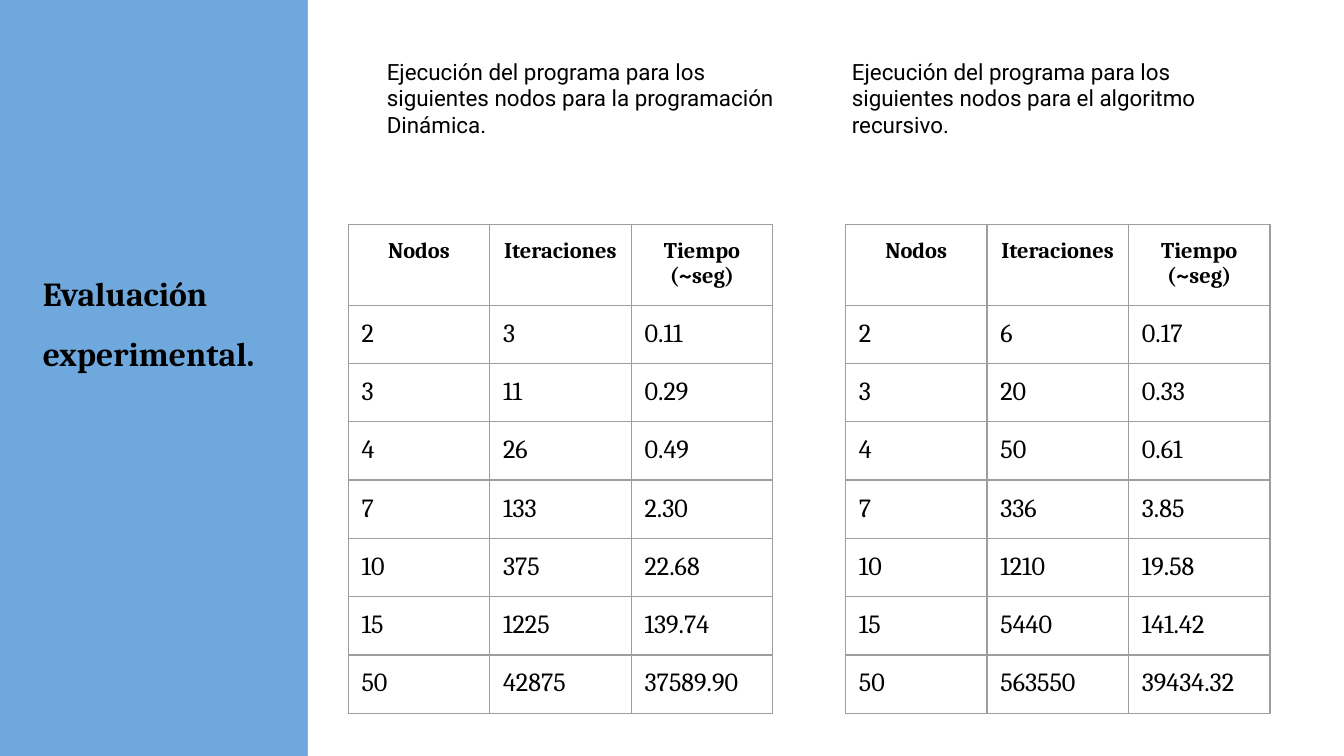
from dataclasses import dataclass

from lxml.etree import SubElement
from pptx import Presentation
from pptx.dml.color import RGBColor
from pptx.enum.shapes import MSO_SHAPE
from pptx.enum.text import MSO_ANCHOR, PP_ALIGN as Align
from pptx.oxml.ns import qn
from pptx.slide import Slide
from pptx.table import _Cell as Cell
from pptx.text.text import TextFrame
from pptx.util import Inches, Pt


@dataclass(frozen=True)
class Theme:
    side: str = "6FA8DC"
    panel: str = "FFFFFF"
    ink: str = "000000"
    grid: str = "9E9E9E"
    grid_points: float = 0.75
    serif: str = "Cambria"
    sans: str = "Roboto"
    title_size: int = 18
    small_size: int = 12
    value_size: int = 14
    inset: float = 0.1


@dataclass(frozen=True)
class Experiment:
    caption: str
    caption_left: float
    table_left: float
    results: list[tuple[str, str, str]]


THEME = Theme()
PAGE_WIDTH = 10
PAGE_HEIGHT = PAGE_WIDTH * 9 / 16
PANEL_LEFT = 2.29
HEADERS = ("Nodos", "Iteraciones", "Tiempo (~seg)")
TABLE_TOP, TABLE_WIDTH, TABLE_HEIGHT = 1.67, 3.16, 3.28
HEADER_HEIGHT, ROW_HEIGHT = 0.59, 0.4

EXPERIMENTS = [
    Experiment(
        "Ejecución del programa para los siguientes nodos para la programación Dinámica.",
        2.78, 2.59,
        [("2", "3", "0.11"), ("3", "11", "0.29"), ("4", "26", "0.49"),
         ("7", "133", "2.30"), ("10", "375", "22.68"),
         ("15", "1225", "139.74"), ("50", "42875", "37589.90")],
    ),
    Experiment(
        "Ejecución del programa para los siguientes nodos para el algoritmo recursivo.",
        6.24, 6.29,
        [("2", "6", "0.17"), ("3", "20", "0.33"), ("4", "50", "0.61"),
         ("7", "336", "3.85"), ("10", "1210", "19.58"),
         ("15", "5440", "141.42"), ("50", "563550", "39434.32")],
    ),
]


def write(frame: TextFrame, text: str, *, size: int, font: str,
          bold: bool = False, align: Align = Align.LEFT,
          line_spacing: float | None = None, space_after: int = 0) -> None:
    para = frame.paragraphs[0]
    para.alignment = align
    para.line_spacing = line_spacing
    para.space_after = Pt(space_after)
    span = para.add_run()
    span.text = text
    span.font.size = Pt(size)
    span.font.name = font
    span.font.bold = bold
    span.font.color.rgb = RGBColor.from_string(THEME.ink)


def set_insets(target: TextFrame | Cell) -> None:
    target.margin_left = target.margin_right = Inches(THEME.inset)
    target.margin_top = target.margin_bottom = Inches(THEME.inset)


def add_text(page: Slide, text: str, left: float, top: float,
             width: float, height: float, **style) -> None:
    box = page.shapes.add_textbox(
        Inches(left), Inches(top), Inches(width), Inches(height))
    frame = box.text_frame
    frame.word_wrap = True
    frame.vertical_anchor = MSO_ANCHOR.TOP
    set_insets(frame)
    write(frame, text, **style)


def add_borders(cell: Cell) -> None:
    """Line all four sides; borders must come before the fill in the XML."""
    properties = cell._tc.get_or_add_tcPr()
    for side in ("a:lnL", "a:lnR", "a:lnT", "a:lnB"):
        line = SubElement(properties, qn(side), w=str(Pt(THEME.grid_points)))
        fill = SubElement(line, qn("a:solidFill"))
        SubElement(fill, qn("a:srgbClr"), val=THEME.grid)


def add_results(page: Slide, experiment: Experiment) -> None:
    rows = [HEADERS, *experiment.results]
    holder = page.shapes.add_table(
        len(rows), len(HEADERS), Inches(experiment.table_left), Inches(TABLE_TOP),
        Inches(TABLE_WIDTH), Inches(TABLE_HEIGHT))
    table = holder.table
    table.horz_banding = False
    table.first_row = False
    for column in table.columns:
        column.width = Inches(TABLE_WIDTH / len(HEADERS))
    for row_index, values in enumerate(rows):
        header = row_index == 0
        table.rows[row_index].height = Inches(HEADER_HEIGHT if header else ROW_HEIGHT)
        for column_index, value in enumerate(values):
            cell = table.cell(row_index, column_index)
            set_insets(cell)
            add_borders(cell)
            cell.fill.background()
            write(cell.text_frame, value, font=THEME.serif, bold=header,
                  size=THEME.small_size if header else THEME.value_size,
                  align=Align.CENTER if header else Align.LEFT)
    holder.height = Inches(TABLE_HEIGHT)


def add_panel(page: Slide) -> None:
    panel = page.shapes.add_shape(
        MSO_SHAPE.RECTANGLE, Inches(PANEL_LEFT), Inches(0),
        Inches(PAGE_WIDTH - PANEL_LEFT), Inches(PAGE_HEIGHT))
    panel.shadow.inherit = False
    panel.fill.solid()
    panel.fill.fore_color.rgb = RGBColor.from_string(THEME.panel)
    panel.line.fill.background()


def main() -> None:
    deck = Presentation()
    deck.slide_width, deck.slide_height = Inches(PAGE_WIDTH), Inches(PAGE_HEIGHT)
    page = deck.slides.add_slide(deck.slide_layouts[6])
    background = page.background.fill
    background.solid()
    background.fore_color.rgb = RGBColor.from_string(THEME.side)

    add_panel(page)
    add_text(page, "Evaluación experimental.", 0.22, 1.78, 1.87, 0.94,
             size=THEME.title_size, font=THEME.serif, bold=True,
             line_spacing=1.5, space_after=16)
    for experiment in EXPERIMENTS:
        add_text(page, experiment.caption, experiment.caption_left, 0.33, 3.26, 5.1,
                 size=THEME.small_size, font=THEME.sans)
        add_results(page, experiment)
    deck.save("out.pptx")


if __name__ == "__main__":
    main()
